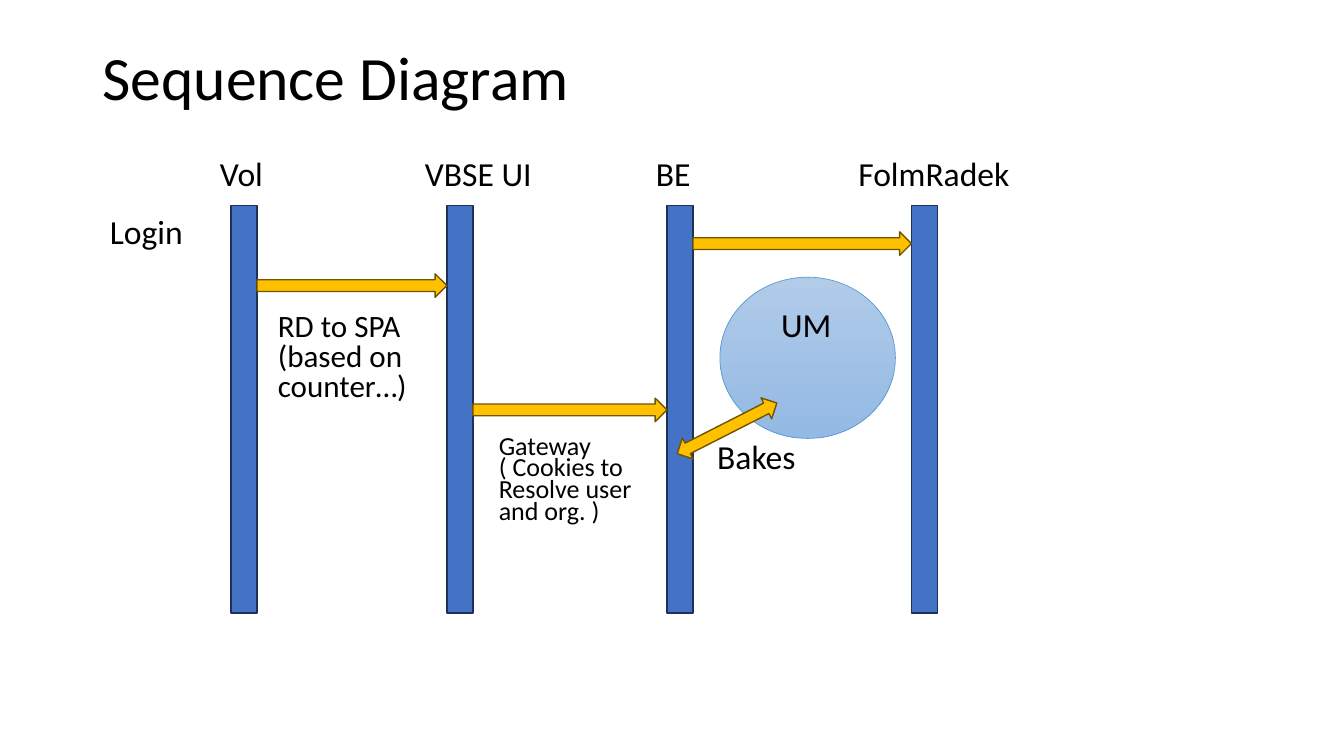
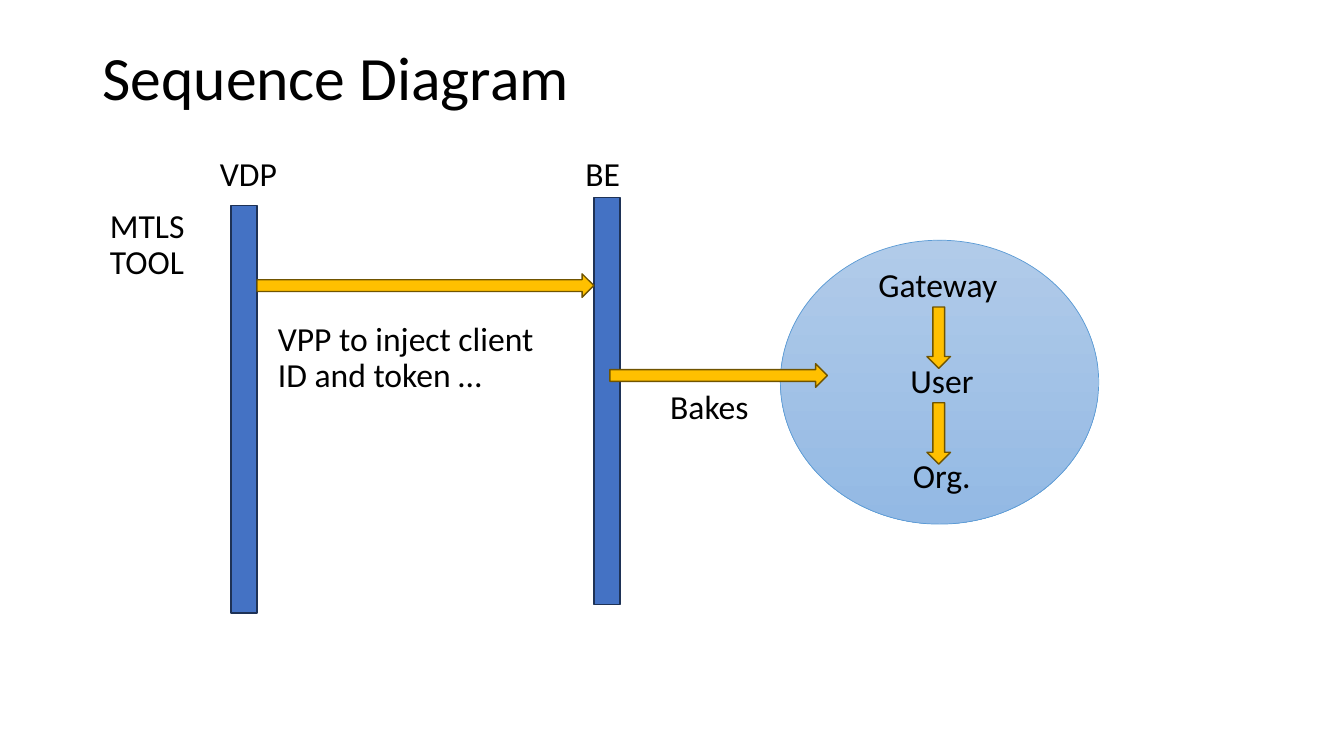
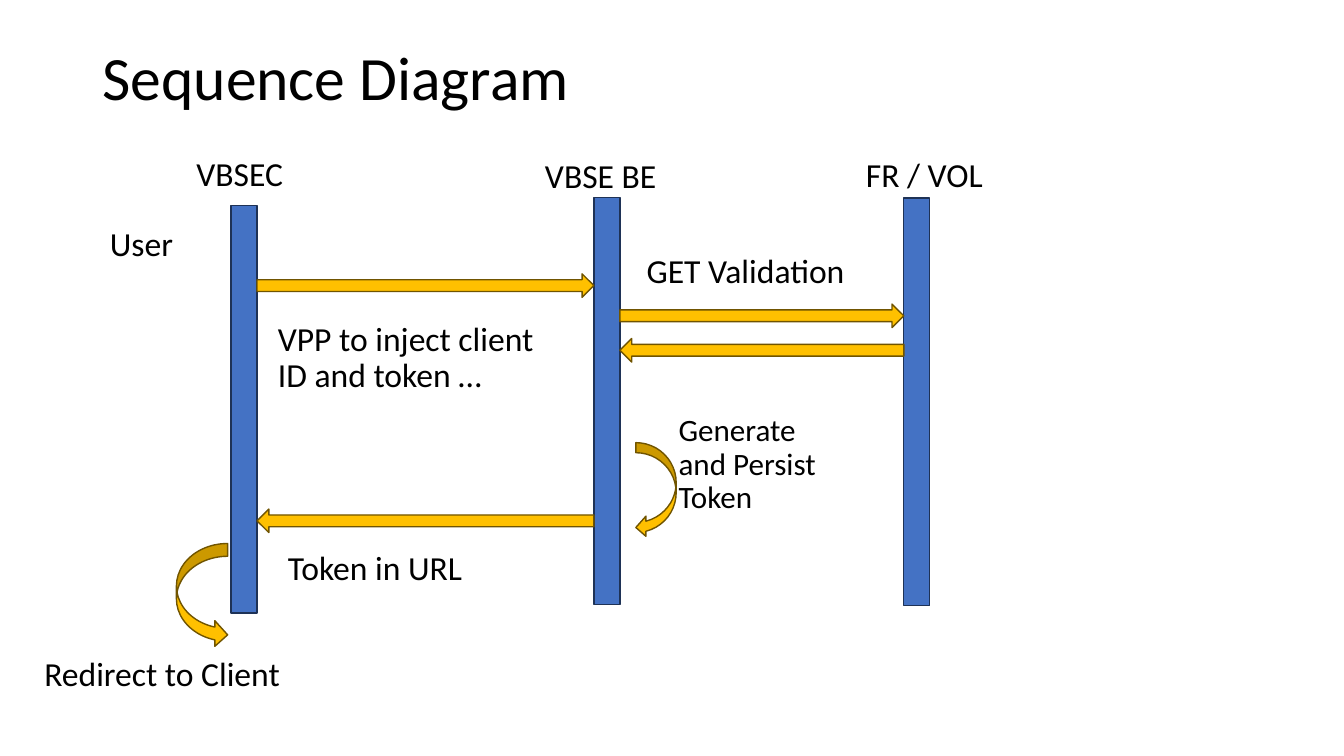
from pptx import Presentation
from pptx.dml.color import RGBColor
from pptx.enum.shapes import MSO_SHAPE as Kind
from pptx.enum.text import MSO_ANCHOR, PP_ALIGN
from pptx.util import Inches, Pt

# Shared look
HUES = {
    "ink": "000000", "page": "FFFFFF",
    "lane": "4472C4", "lane_edge": "1E3256",
    "gold": "FFC000", "gold_edge": "705400",
    "sky": "B1CBE9", "sea": "93B9E4", "disc_edge": "5B9BD5",
}
FONT = "Calibri"

# Grid: 160 columns by 90 rows of square cells
deck = Presentation()
deck.slide_width, deck.slide_height = Inches(13.333), Inches(7.5)
CELL = deck.slide_height / 90
TITLE = (11, 4.8, 138, 9.6)
LANE_W, LANE_H = 3.1, 48.5
BAR = 2.8           # height of a straight arrow
LOW, TALL = 9.6, 12.4   # heights of labels
HEAD, LEFT, SIDE = 16.1, 11.9, 23   # row of lane names, column and row of the actor


def draw(slide, kind, box, fill, edge, turn=0, line=1):
    shape = slide.shapes.add_shape(kind, *[round(n * CELL) for n in box])
    shape.shadow.inherit = False
    shape.rotation = turn
    shape.line.color.rgb = RGBColor.from_string(HUES[edge])
    shape.line.width = Pt(line)
    if isinstance(fill, tuple):
        shape.fill.gradient()
        shape.fill.gradient_angle = 270
        for stop, hue in zip(shape.fill.gradient_stops, fill):
            stop.color.rgb = RGBColor.from_string(HUES[hue])
    else:
        shape.fill.solid()
        shape.fill.fore_color.rgb = RGBColor.from_string(HUES[fill])


def write(shape, box, text, size=24, gap=0.9):
    shape.left, shape.top, shape.width, shape.height = [round(n * CELL) for n in box]
    frame = shape.text_frame
    frame.text = text
    frame.word_wrap = True
    frame.vertical_anchor = MSO_ANCHOR.MIDDLE
    for para in frame.paragraphs:
        para.alignment = PP_ALIGN.LEFT
        para.line_spacing = gap
        para.space_before = Pt(0)
        for run in para.runs:
            run.font.name, run.font.size = FONT, Pt(size)
            run.font.color.rgb = RGBColor.from_string(HUES["ink"])


# lanes: column, row; calls: from lane, to lane, row
# extras: kind, box, turn; labels: box, text, then size and line spacing
INJECT = ((31.9, 36.5, 34.1, TALL), "VPP to inject client ID and token …")
PAGES = [
    {
        "lanes": [(27.5, 24.5), (53.2, 24.5), (79.4, 24.5), (108.5, 24.5)],
        "discs": [(85.7, 33, 20.9, 19.2)],
        "calls": [(0, 1, 32.6), (1, 2, 47.4), (2, 3, 27.6)],
        "extras": [(Kind.LEFT_RIGHT_ARROW, (79.9, 49.6, 13.3, BAR), 333)],
        "labels": [
            ((25, HEAD, 8.2, LOW), "Vol"),
            ((49.4, HEAD, 16, LOW), "VBSE UI"),
            ((76.9, HEAD, 8.2, LOW), "BE"),
            ((101, HEAD, 22.9, LOW), "FolmRadek"),
            ((LEFT, SIDE, 12.4, LOW), "Login"),
            ((31.9, 36.5, 20, TALL), "RD to SPA\n(based on counter…)", 22.2, 0.8),
            ((58.2, 51.1, 20.6, TALL),
             "Gateway\n( Cookies to Resolve user and org. )", 18.6, 0.7),
            ((91.8, 34.1, 13.1, LOW), "UM"),
            ((84.2, 49.8, 13.8, LOW), "Bakes"),
        ],
    },
    {
        "lanes": [(27.5, 24.5), (70.7, 23.5)],
        "discs": [(92.9, 28.6, 37.9, 33.8)],
        "calls": [(0, 1, 32.6)],
        "extras": [
            (Kind.RIGHT_ARROW, (72.6, 43.3, 25.9, BAR), 0),
            (Kind.RIGHT_ARROW, (108.1, 38.8, 7.3, BAR), 90),
            (Kind.RIGHT_ARROW, (108.1, 50.2, 7.3, BAR), 90),
        ],
        "labels": [
            ((25, HEAD, 11, LOW), "VDP"),
            ((68.5, HEAD, 8.2, LOW), "BE"),
            ((LEFT, SIDE, 15.2, TALL), "MTLS\nTOOL"),
            INJECT,
            ((78.6, 43.9, 13.8, LOW), "Bakes"),
            ((103.4, 29.3, 20.8, LOW), "Gateway"),
            ((107.2, 40.7, 11.4, LOW), "User"),
            ((107.5, 52.1, 11.4, LOW), "Org."),
        ],
    },
    {
        "lanes": [(27.5, 24.5), (70.7, 23.5), (107.6, 23.6)],
        "discs": [],
        "calls": [(0, 1, 32.6), (1, 2, 36.2), (2, 1, 40.3), (1, 0, 60.6)],
        "extras": [
            (Kind.CURVED_LEFT_ARROW, (75.7, 52.7, 4.8, 11.3), 0),
            (Kind.CURVED_RIGHT_ARROW, (21, 64.7, 6.1, 12.4), 0),
        ],
        "labels": [
            ((22.2, HEAD, 13.8, LOW), "VBSEC"),
            ((63.7, 16.3, 17.8, LOW), "VBSE BE"),
            ((101.9, 16.2, 17.8, LOW), "FR / VOL"),
            ((LEFT, SIDE, 15.2, TALL), "User"),
            INJECT,
            ((75.8, 27.7, 30.1, LOW), "GET Validation"),
            ((79.6, 50.6, 22.7, LOW), "Generate and Persist Token", 22.2),
            ((33.1, 61.6, 34.1, TALL), "Token in URL"),
            ((4.1, 74.2, 34.1, TALL), "Redirect to Client"),
        ],
    },
]

for page in PAGES:
    # Page and title
    slide = deck.slides.add_slide(deck.slide_layouts[5])
    slide.background.fill.solid()
    slide.background.fill.fore_color.rgb = RGBColor.from_string(HUES["page"])
    write(slide.shapes.title, TITLE, "Sequence Diagram", 44)

    # Lanes and discs
    for col, row in page["lanes"]:
        draw(slide, Kind.RECTANGLE, (col, row, LANE_W, LANE_H), "lane", "lane_edge")
    for box in page["discs"]:
        draw(slide, Kind.OVAL, box, ("sky", "sea"), "disc_edge", line=0.5)

    # Calls run from lane edge to lane edge
    for start, end, row in page["calls"]:
        near, far = sorted(page["lanes"][i][0] for i in (start, end))
        box = (near + LANE_W, row, far - near - LANE_W, BAR)
        draw(slide, Kind.RIGHT_ARROW, box, "gold", "gold_edge", 180 if end < start else 0)
    for kind, box, turn in page["extras"]:
        draw(slide, kind, box, "gold", "gold_edge", turn)

    # Labels
    for box, *text in page["labels"]:
        write(slide.shapes.add_textbox(0, 0, 0, 0), box, *text)

deck.save("out.pptx")
